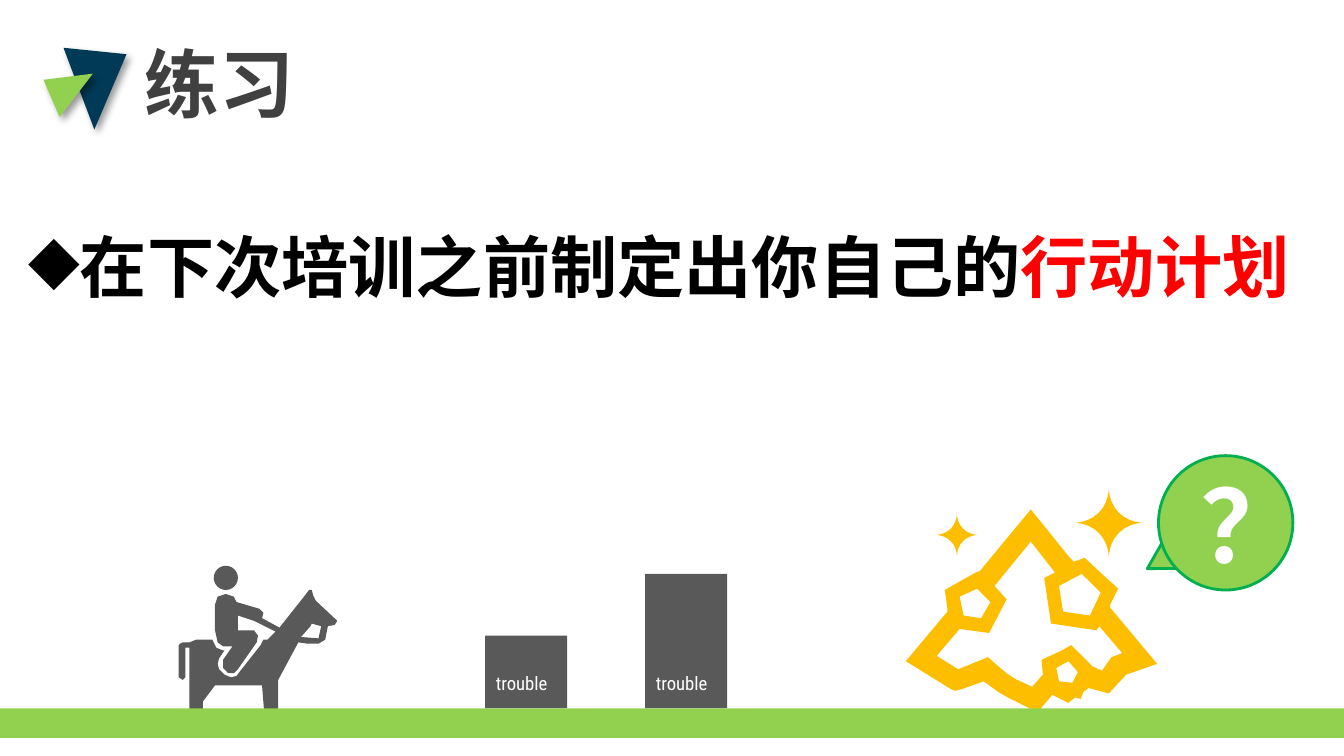
from math import cos, sin, pi, copysign
from pptx import Presentation
from pptx.dml.color import RGBColor
from pptx.enum.shapes import MSO_SHAPE as Kind
from pptx.enum.text import MSO_AUTO_SIZE as Fit
from pptx.oxml import parse_xml
from pptx.oxml.ns import nsdecls, qn
from pptx.util import Pt
from lxml.etree import SubElement

PX = 9144
NOTO, ROBOTO = "Noto Sans CJK SC", "Roboto Condensed"
GREEN = RGBColor(0x92, 0xD0, 0x50)
EDGE = RGBColor(0x00, 0xB0, 0x50)
NAVY = RGBColor(0x00, 0x3A, 0x56)
GOLD = RGBColor(0xFE, 0xBE, 0x00)
GREY = RGBColor(0x59, 0x59, 0x59)
DARK = RGBColor(0x40, 0x40, 0x40)
BLACK = RGBColor(0x00, 0x00, 0x00)
WHITE = RGBColor(0xFF, 0xFF, 0xFF)
RED = RGBColor(0xFF, 0x00, 0x00)

ROCK = [
    [(93, 0), (122, 36), (125, 39), (133, 36), (147, 49), (158, 59), (152, 71),
     (152, 73), (187, 115), (164, 123), (151, 137), (140, 134), (136, 133),
     (132, 136), (130, 141), (126, 140), (121, 144), (119, 143), (109, 138),
     (98, 151), (76, 140), (69, 136), (58, 128), (41, 134), (37, 135),
     (34, 134), (0, 113), (31, 76), (31, 74), (29, 60), (52, 47), (55, 46)],
    [(66, 57), (75, 67), (62, 92), (40, 89), (23, 109), (39, 119), (61, 110),
     (75, 122), (81, 126), (94, 132), (102, 123), (101, 112), (116, 105),
     (123, 101), (139, 117), (146, 120), (153, 110), (161, 107), (144, 87),
     (142, 90), (108, 85), (103, 51), (111, 47), (93, 24)],
    [(114, 57), (117, 76), (123, 77), (137, 79), (145, 62), (131, 48)],
    [(40, 65), (43, 79), (56, 81), (63, 69), (53, 59)],
    [(112, 118), (114, 128), (124, 129), (128, 121), (121, 113)],
]
HORSE = [
    [(1, 49), (3, 48), (8, 48), (13, 46), (25, 46), (28, 52), (33, 54),
     (34, 54), (30, 60), (29, 64), (30, 68), (34, 72), (39, 74), (43, 73),
     (46, 69), (61, 50), (63, 46), (66, 46), (68, 44), (72, 40), (56, 32),
     (44, 28), (44, 39), (51, 39), (56, 39), (59, 43), (58, 48), (44, 68),
     (41, 71), (37, 71), (33, 67), (33, 61), (40, 51), (33, 51), (29, 48),
     (27, 39), (27, 20), (29, 14), (35, 12), (41, 14), (43, 18), (60, 23),
     (63, 26), (62, 30), (75, 37), (94, 13), (97, 9), (99, 9), (100, 13),
     (102, 17), (118, 32), (116, 35), (111, 36), (109, 46), (104, 49),
     (96, 49), (89, 48), (74, 76), (74, 105), (72, 109), (66, 109), (64, 105),
     (62, 80), (27, 80), (18, 92), (18, 104), (16, 108), (10, 108), (8, 104),
     (8, 52), (5, 52), (5, 74), (3, 76), (0, 74), (0, 50)],
    [(104, 45), (106, 36), (99, 34), (98, 36), (91, 44)],
]


def paint(shape, fill, edge=None):
    """Fill a shape flat and give it an optional outline."""
    shape.shadow.inherit = False
    shape.fill.solid()
    shape.fill.fore_color.rgb = fill
    if edge:
        shape.line.color.rgb = edge
        shape.line.width = Pt(1.5)
    else:
        shape.line.fill.background()
    return shape


def block(slide, kind, box, fill, edge=None, turn=0):
    """Draw one preset shape."""
    shape = slide.shapes.add_shape(kind, *(n * PX for n in box))
    shape.rotation = turn
    return paint(shape, fill, edge)


def blob(slide, x, y, rings, fill):
    """Draw closed rings as one outline with holes."""
    rings = [[((x + a) * PX, (y + b) * PX) for a, b in ring] for ring in rings]
    pen = slide.shapes.build_freeform(*rings[0][0])
    pen.add_line_segments(rings[0][1:])
    for ring in rings[1:]:
        pen.move_to(*ring[0])
        pen.add_line_segments(ring[1:])
    return paint(pen.convert_to_shape(), fill)


def label(slide, box, runs, size, font, bold=True, wrap=False, pad=(7, 4)):
    """Write one line of coloured runs and return its paragraph."""
    frame = slide.shapes.add_textbox(*(n * PX for n in box)).text_frame
    frame.word_wrap = wrap
    frame.auto_size = Fit.SHAPE_TO_FIT_TEXT
    frame.margin_left = frame.margin_right = pad[0] * PX
    frame.margin_top = frame.margin_bottom = pad[1] * PX
    para = frame.paragraphs[0]
    for text, tint in runs:
        run = para.add_run()
        run.text = text
        run.font.size, run.font.bold, run.font.name = Pt(size), bold, font
        run.font.color.rgb = tint
        SubElement(run.font._element, qn("a:ea"), typeface=font)
    return para


def title(slide, x, y):
    """Place the two shaded triangles and the heading."""
    for box, fill, turn in [((x, y + 14, 61, 45), NAVY, 293.1),
                            ((x + 3, y + 34, 37, 29), GREEN, 172.9)]:
        shape = block(slide, Kind.ISOSCELES_TRIANGLE, box, fill, turn=turn)
        shape.adjustments[0] = 0.77
        props = shape._element.spPr
        props.remove(props.find(qn("a:effectLst")))
        props.append(parse_xml(
            f'<a:effectLst {nsdecls("a")}><a:outerShdw blurRad="{Pt(4)}" '
            f'dist="{Pt(3)}" dir="2700000" algn="tl" rotWithShape="0">'
            '<a:srgbClr val="000000"><a:alpha val="40000"/></a:srgbClr>'
            '</a:outerShdw></a:effectLst>'))
    label(slide, (x + 67, y, 132, 77), [("练习", DARK)], 40, NOTO, pad=(10, 5))


def task(slide, x, y):
    """Place the bulleted task line."""
    runs = [("在下次培训之前制定出你自己的", BLACK), ("行动计划", RED)]
    para = label(slide, (x, y, 963, 71), runs, 36, NOTO, wrap=True, pad=(5, 5))
    props = para._p.get_or_add_pPr()
    props.set("marL", str(31 * PX))
    props.set("indent", str(-31 * PX))
    SubElement(props, qn("a:buFont"), typeface="OpenSymbol")
    SubElement(props, qn("a:buChar"), char="◆")


def rider(slide, x, y):
    """Place the rider on the horse."""
    block(slide, Kind.OVAL, (x + 26, y, 18, 18), GREY)
    blob(slide, x, y + 9, HORSE, GREY)


def wall(slide, x, base, high):
    """Stand one obstacle on the ground."""
    block(slide, Kind.RECTANGLE, (x, base - high, 61, high), GREY)
    label(slide, (x + 1, base - 31, 61, 24), [("trouble", WHITE)], 10, ROBOTO,
          bold=False)


def spark(slide, x, y, rad):
    """Draw a four-pointed star with hollow sides."""
    def bend(n):
        return copysign(abs(n) ** 3.6, n) * rad
    turns = [k * pi / 24 for k in range(48)]
    blob(slide, x, y, [[(bend(cos(t)), bend(sin(t))) for t in turns]], GOLD)


def gold(slide, x, y):
    """Place the nugget with its two sparks."""
    spark(slide, x + 151, y + 26, 26)
    blob(slide, x, y + 16, ROCK, GOLD)
    spark(slide, x + 38, y + 35, 16)


def bubble(slide, x, y):
    """Place the round speech bubble with its question mark."""
    block(slide, Kind.ISOSCELES_TRIANGLE, (x, y + 60, 37, 32), GREEN, EDGE, 239.7)
    block(slide, Kind.OVAL, (x + 13, y, 100, 100), GREEN, EDGE, 239.7)
    label(slide, (x + 37, y + 1, 59, 98), [("？", WHITE)], 54, NOTO, wrap=True)


def main():
    """Build the slide and save it."""
    deck = Presentation()
    deck.slide_width = 1000 * PX
    deck.slide_height = deck.slide_width * 9 // 16
    slide = deck.slides.add_slide(deck.slide_layouts[6])
    ground = 527
    gold(slide, 674, 363)
    title(slide, 31, 23)
    rider(slide, 133, 421)
    block(slide, Kind.RECTANGLE, (0, ground, 1000, 22), GREEN)
    for x, high in [(361, 54), (480, 100)]:
        wall(slide, x, ground, high)
    bubble(slide, 849, 339)
    task(slide, 16, 163)
    deck.save("out.pptx")


if __name__ == "__main__":
    main()
